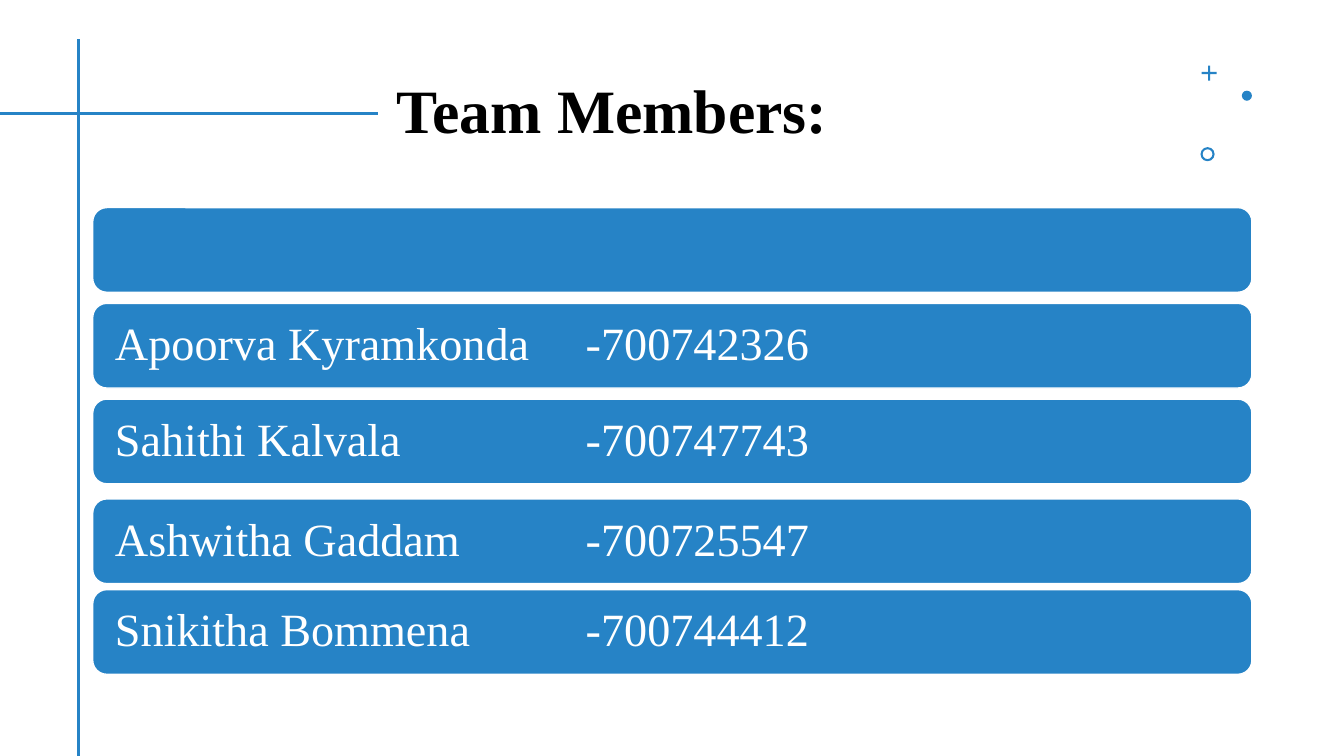
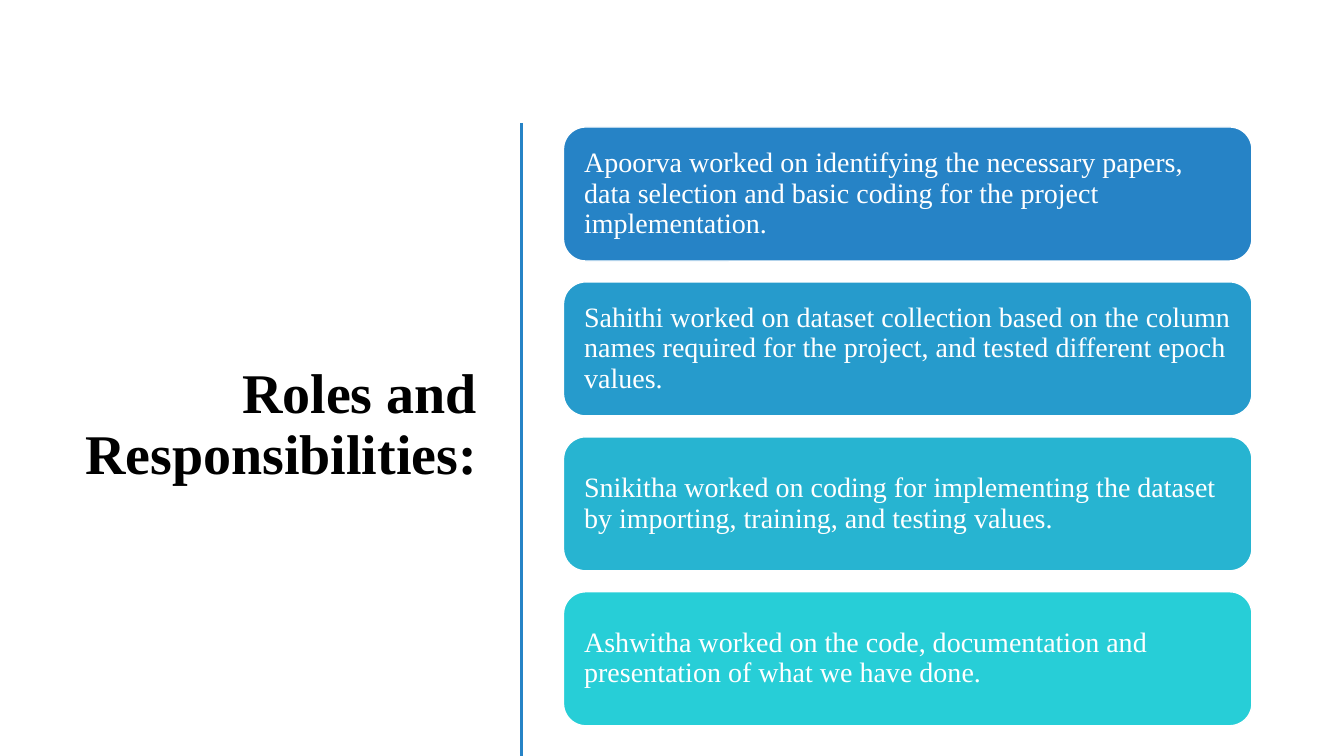
from lxml.etree import SubElement
from pptx import Presentation
from pptx.dml.color import RGBColor
from pptx.enum.shapes import MSO_CONNECTOR, MSO_SHAPE
from pptx.enum.text import MSO_ANCHOR, PP_ALIGN
from pptx.oxml.ns import qn
from pptx.util import Inches, Pt

BLUE = RGBColor(0x26, 0x83, 0xC6)
SKY = RGBColor(0x26, 0x9B, 0xCC)
TEAL = RGBColor(0x27, 0xB4, 0xD1)
AQUA = RGBColor(0x27, 0xCE, 0xD7)
BLACK = RGBColor(0, 0, 0)
WHITE = RGBColor(0xFF, 0xFF, 0xFF)

COLS, ROWS = 133.33, 75
CELL = 0.1


def grid(*cells):
    return [Inches(c * CELL) for c in cells]


class Deck:
    font = "Times New Roman"
    accent = BLUE

    def __init__(self):
        self.prs = Presentation()
        self.prs.slide_width, self.prs.slide_height = grid(COLS, ROWS)
        self.s = None

    def slide(self):
        self.s = self.prs.slides.add_slide(self.prs.slide_layouts[6])

    def label(self, sp, text, size, color, bold=False, align=PP_ALIGN.LEFT, inset=1, tab=None):
        tf = sp.text_frame
        tf.word_wrap = True
        tf.vertical_anchor = MSO_ANCHOR.MIDDLE
        tf.margin_left, tf.margin_right = grid(inset, inset)
        p = tf.paragraphs[0]
        p.text = text
        p.alignment = align
        p.line_spacing = 0.9
        if tab:
            tabs = SubElement(p._p.get_or_add_pPr(), qn("a:tabLst"))
            SubElement(tabs, qn("a:tab"), pos=str(grid(tab)[0]), algn="l")
        p.font.name = self.font
        p.font.size = Pt(size)
        p.font.bold = bold
        p.font.color.rgb = color

    def title(self, text, box, size, align=PP_ALIGN.LEFT):
        sp = self.s.shapes.add_textbox(*grid(*box))
        self.label(sp, text, size, BLACK, bold=True, align=align)

    def line(self, x1, y1, x2, y2):
        sp = self.s.shapes.add_connector(MSO_CONNECTOR.STRAIGHT, *grid(x1, y1, x2, y2))
        sp.line.color.rgb = self.accent
        sp.line.width = Pt(2)
        SubElement(sp._element.spPr, qn("a:effectLst"))

    def shape(self, kind, box, fill):
        sp = self.s.shapes.add_shape(kind, *grid(*box))
        sp.shadow.inherit = False
        sp.fill.solid()
        sp.fill.fore_color.rgb = fill
        sp.line.fill.background()
        return sp

    def ornament(self, kind, x, y, size, adjust=None):
        sp = self.shape(kind, (x, y, size, size), self.accent)
        if adjust is not None:
            sp.adjustments[0] = adjust

    def card(self, box, fill, text="", size=20, inset=1.4, tab=None):
        sp = self.shape(MSO_SHAPE.ROUNDED_RECTANGLE, box, fill)
        sp.line.color.rgb = WHITE
        sp.line.width = Pt(1)
        if text:
            self.label(sp, text, size, WHITE, inset=inset, tab=tab)


def team_members(deck):
    deck.slide()
    deck.line(7.8, 3.9, 7.8, ROWS)
    deck.line(0, 11.25, 37.5, 11.25)
    deck.title("Team Members:", (38.4, 4, 78.3, 14.5), 44)
    deck.ornament(MSO_SHAPE.CROSS, 119.2, 6.5, 1.5, 0.43)
    deck.ornament(MSO_SHAPE.OVAL, 123.2, 9, 1)
    deck.ornament(MSO_SHAPE.DONUT, 119.1, 14.6, 1.4, 0.15)
    members = [
        (20.6, ""),
        (30.1, "Apoorva Kyramkonda\t-700742326"),
        (39.6, "Sahithi Kalvala\t-700747743"),
        (49.5, "Ashwitha Gaddam\t-700725547"),
        (58.5, "Snikitha Bommena\t-700744412"),
    ]
    for top, text in members:
        deck.card((9.2, top, 115, 8.4), BLUE, text, size=33, inset=1.8, tab=46.7)


def roles(deck):
    deck.slide()
    deck.title("Roles and Responsibilities:", (5.2, 11.7, 43.1, 61.1), 40, PP_ALIGN.RIGHT)
    deck.line(51.7, 12.2, 51.7, ROWS)
    duties = [
        (BLUE, "Apoorva worked on identifying the necessary papers, data selection "
               "and basic coding for the project implementation."),
        (SKY, "Sahithi worked on dataset collection based on the column names "
              "required for the project, and tested different epoch values."),
        (TEAL, "Snikitha worked on coding for implementing the dataset by importing, "
               "training, and testing values."),
        (AQUA, "Ashwitha worked on the code, documentation and presentation of what "
               "we have done."),
    ]
    top, pitch = 12.6, 15.37
    for i, (fill, text) in enumerate(duties):
        deck.card((55.9, top + i * pitch, 68.3, 13.3), fill, text)


def main():
    deck = Deck()
    team_members(deck)
    roles(deck)
    deck.prs.save("out.pptx")


if __name__ == "__main__":
    main()
